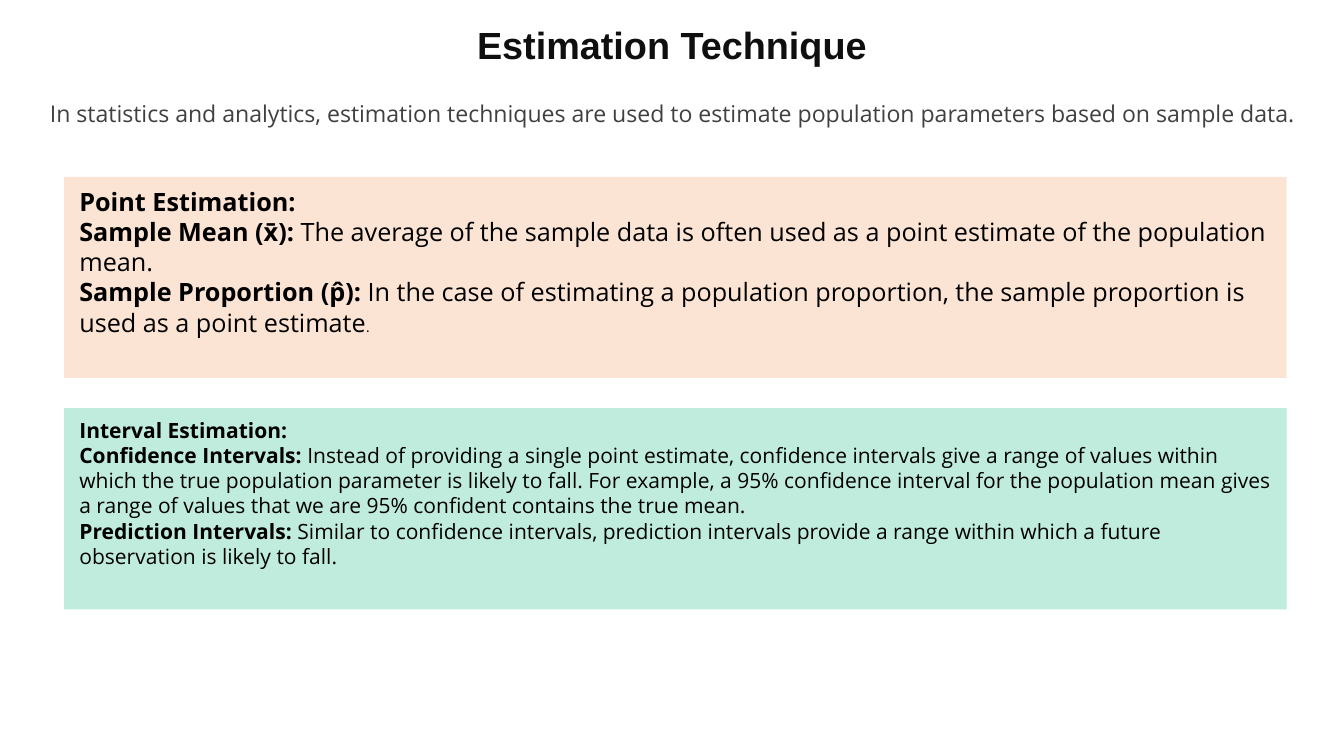
from dataclasses import dataclass

from pptx import Presentation
from pptx.dml.color import RGBColor
from pptx.enum.shapes import MSO_SHAPE
from pptx.enum.text import MSO_ANCHOR, PP_ALIGN
from pptx.util import Pt

HEADING_FONT = "Arial"
BODY_FONT = "Open Sans"
SLIDE_WIDTH, SLIDE_HEIGHT = 1280.16, 720
PANEL_LEFT, PANEL_TOP = 61.2, 168.48
PANEL_WIDTH, PANEL_HEIGHT = 1164.24, 191.52
PANEL_GAP = 28.8


@dataclass(frozen=True)
class Span:
    text: str
    bold: bool = False
    size: float | None = None
    font: str = BODY_FONT


@dataclass(frozen=True)
class Panel:
    fill: str
    size: float
    lines: tuple[tuple[Span, ...], ...]


PANELS = (
    Panel("FBE4D4", 24, (
        (Span("Point Estimation:", bold=True),),
        (Span("Sample Mean (x̄):", bold=True),
         Span(" The average of the sample data is often used as a point estimate "
              "of the population mean.")),
        (Span("Sample Proportion (p̂):", bold=True),
         Span(" In the case of estimating a population proportion, the sample "
              "proportion is used as a point estimate"),
         Span(".", size=14, font=HEADING_FONT)),
    )),
    Panel("C0ECDE", 20, (
        (Span("Interval Estimation:", bold=True),),
        (Span("Confidence Intervals:", bold=True),
         Span(" Instead of providing a single point estimate, confidence intervals "
              "give a range of values within which the true population parameter is "
              "likely to fall. For example, a 95% confidence interval for the "
              "population mean gives a range of values that we are 95% confident "
              "contains the true mean.")),
        (Span("Prediction Intervals:", bold=True),
         Span(" Similar to confidence intervals, prediction intervals provide a "
              "range within which a future observation is likely to fall.")),
    )),
)


def rgb(color: str) -> RGBColor:
    return RGBColor.from_string(color)


def apply_format(target, values: dict) -> None:
    for attribute, value in values.items():
        setattr(target, attribute, value)


def set_frame(frame, anchor: MSO_ANCHOR, inset_x: float, inset_y: float) -> None:
    apply_format(frame, {
        "word_wrap": True, "vertical_anchor": anchor,
        "margin_left": Pt(inset_x), "margin_right": Pt(inset_x),
        "margin_top": Pt(inset_y), "margin_bottom": Pt(inset_y),
    })


def add_span(paragraph, span: Span, size: float, color: str) -> None:
    run = paragraph.add_run()
    run.text = span.text
    apply_format(run.font, {
        "name": span.font, "size": Pt(span.size or size), "bold": span.bold})
    run.font.color.rgb = rgb(color)


def add_title(slide) -> None:
    title = slide.shapes.title
    apply_format(title, {
        "left": Pt(0), "top": Pt(18), "width": Pt(SLIDE_WIDTH), "height": Pt(54)})
    set_frame(title.text_frame, MSO_ANCHOR.MIDDLE, 7.2, 3.6)
    heading = title.text_frame.paragraphs[0]
    apply_format(heading, {"alignment": PP_ALIGN.CENTER, "line_spacing": 0.9})
    add_span(heading, Span("Estimation Technique", bold=True, font=HEADING_FONT),
             36, "0F0F0F")


def add_introduction(slide) -> None:
    introduction = slide.shapes.add_textbox(
        Pt(35.28), Pt(90.72), Pt(1210.32), Pt(41.04))
    set_frame(introduction.text_frame, MSO_ANCHOR.TOP, 7.2, 3.6)
    sentence = introduction.text_frame.paragraphs[0]
    sentence.alignment = PP_ALIGN.CENTER
    add_span(sentence, Span(
        "In statistics and analytics, estimation techniques are used to estimate "
        "population parameters based on sample data."), 22, "404040")


def add_panel(slide, panel: Panel, top: float) -> None:
    box = slide.shapes.add_shape(
        MSO_SHAPE.RECTANGLE, Pt(PANEL_LEFT), Pt(top), Pt(PANEL_WIDTH), Pt(PANEL_HEIGHT))
    box.shadow.inherit = False
    box.fill.solid()
    box.fill.fore_color.rgb = rgb(panel.fill)
    box.line.fill.background()
    frame = box.text_frame
    set_frame(frame, MSO_ANCHOR.TOP, 14.4, 8.64)
    for index, line in enumerate(panel.lines):
        paragraph = frame.add_paragraph() if index else frame.paragraphs[0]
        paragraph.alignment = PP_ALIGN.LEFT
        for span in line:
            add_span(paragraph, span, panel.size, "000000")


def main() -> None:
    presentation = Presentation()
    apply_format(presentation, {
        "slide_width": Pt(SLIDE_WIDTH), "slide_height": Pt(SLIDE_HEIGHT)})
    slide = presentation.slides.add_slide(
        presentation.slide_layouts.get_by_name("Title Only"))
    add_title(slide)
    add_introduction(slide)
    for index, panel in enumerate(PANELS):
        add_panel(slide, panel, PANEL_TOP + index * (PANEL_HEIGHT + PANEL_GAP))
    presentation.save("out.pptx")


if __name__ == "__main__":
    main()
